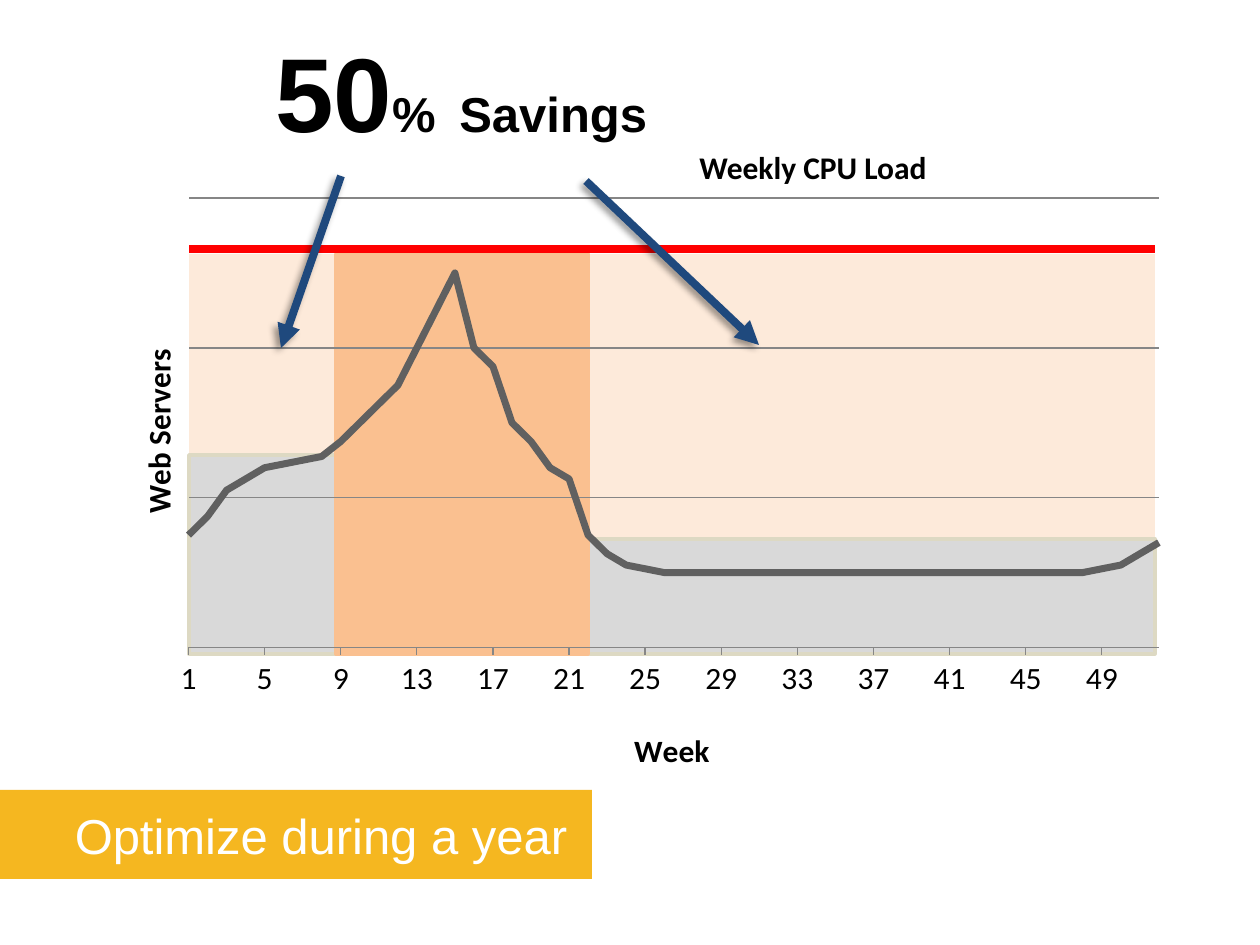
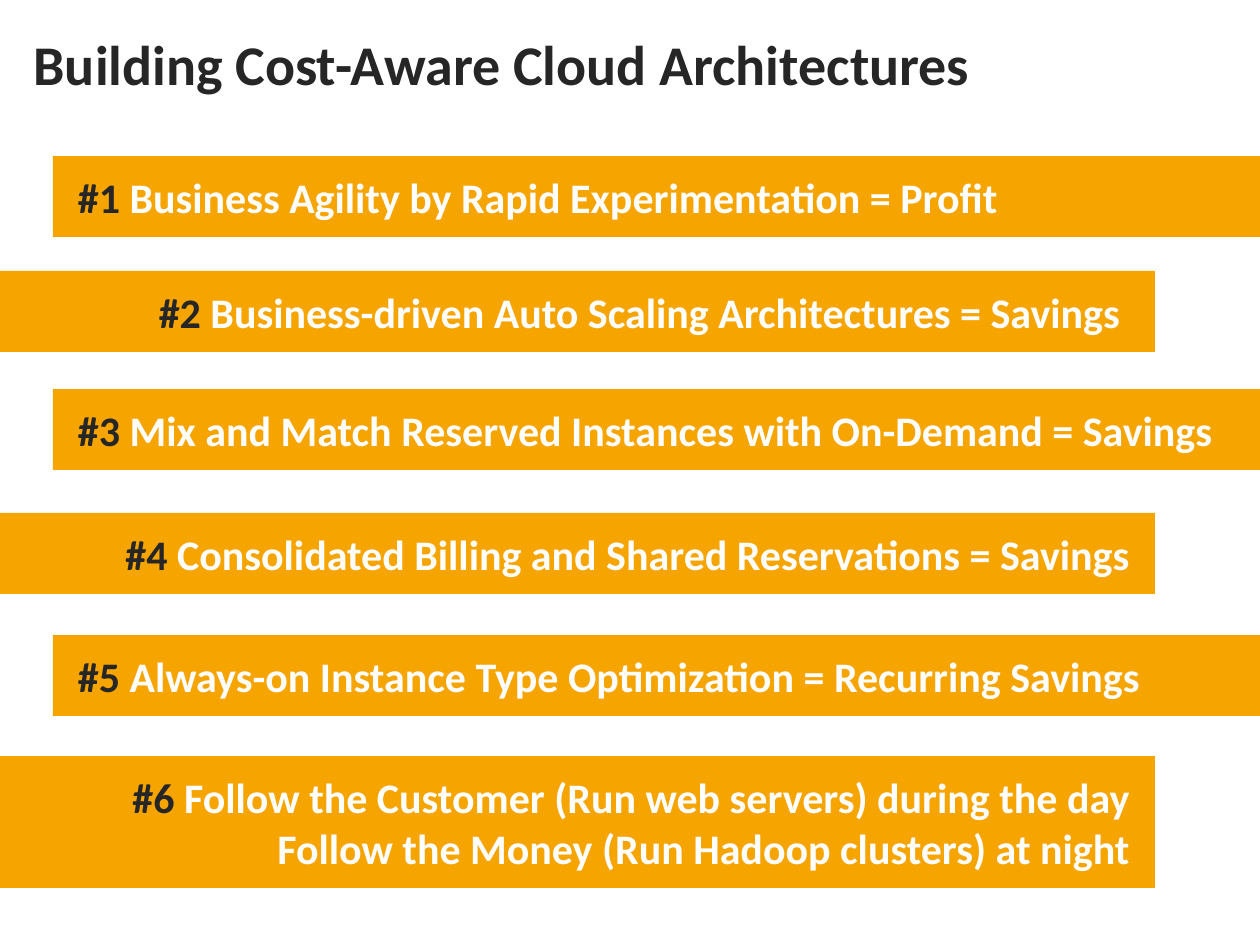
from lxml import etree
from pptx import Presentation
from pptx.chart.data import XyChartData
from pptx.dml.color import RGBColor
from pptx.enum import chart as charts, shapes, text
from pptx.oxml import parse_xml
from pptx.oxml.ns import nsdecls, qn
from pptx.util import Emu, Pt

PX = 914400 / 126
BLACK = RGBColor(0x00, 0x00, 0x00)
WHITE = RGBColor(0xFF, 0xFF, 0xFF)
INK = RGBColor(0x26, 0x26, 0x26)
AMBER = RGBColor(0xF6, 0xA4, 0x00)
BANNER_GOLD = RGBColor(0xF5, 0xB7, 0x20)
PALE_ORANGE = RGBColor(0xFD, 0xEA, 0xDA)
PEAK_ORANGE = RGBColor(0xFA, 0xC0, 0x90)
USED_GRAY = RGBColor(0xD9, 0xD9, 0xD9)
USED_EDGE = RGBColor(0xDD, 0xD9, 0xC3)
LIMIT_RED = RGBColor(0xFF, 0x00, 0x00)
ARROW_NAVY = RGBColor(0x1F, 0x49, 0x7D)
LOAD_GRAY = RGBColor(0x60, 0x60, 0x60)
GRID_GRAY = RGBColor(0x86, 0x86, 0x86)

WEEKLY_LOAD = [30, 35, 42, 45, 48, 49, 50, 51, 55, 60, 65, 70, 80, 90, 100, 80, 75,
               60, 55, 48, 45, 30, 25, 22, 21] + [20] * 23 + [21, 22, 25, 28]

LESSONS = [  # top, height, lines
    (156, 81, ["Business Agility by Rapid Experimentation = Profit"]),
    (271, 81, ["Business-driven Auto Scaling Architectures = Savings "]),
    (389, 81, ["Mix and Match Reserved Instances with On-Demand = Savings"]),
    (513, 81, ["Consolidated Billing and Shared Reservations = Savings"]),
    (635, 81, ["Always-on Instance Type Optimization = Recurring Savings"]),
    (756, 132, ["Follow the Customer (Run web servers) during the day",
                "Follow the Money (Run Hadoop clusters) at night"]),
]


def px(length):
    return Emu(round(length * PX))


def box_px(*lengths):
    return [px(length) for length in lengths]


def style(font, size, color, name="Calibri", bold=False):
    font.name, font.size, font.bold = name, Pt(size), bold
    font.color.rgb = color


def add_rect(slide, box, fill, edge=None):
    rect = slide.shapes.add_shape(shapes.MSO_SHAPE.RECTANGLE, *box_px(*box))
    rect.shadow.inherit = False
    rect.fill.solid()
    rect.fill.fore_color.rgb = fill
    if edge is None:
        rect.line.fill.background()
    else:
        rect.line.color.rgb = edge
        rect.line.width = Pt(2)
    return rect


def add_band(slide, box, fill, align):
    """Coloured band with padded text; returns its first paragraph."""
    frame = add_rect(slide, box, fill).text_frame
    frame.margin_left = frame.margin_right = px(25)
    frame.margin_top = frame.margin_bottom = px(15)
    frame.word_wrap = True
    frame.auto_size = text.MSO_AUTO_SIZE.SHAPE_TO_FIT_TEXT
    frame.paragraphs[0].alignment = align
    return frame.paragraphs[0]


def add_label(slide, box, wrap):
    frame = slide.shapes.add_textbox(*box_px(*box)).text_frame
    frame.word_wrap = wrap
    frame.auto_size = text.MSO_AUTO_SIZE.SHAPE_TO_FIT_TEXT
    return frame.paragraphs[0]


def add_line(slide, start, end, color, effect=""):
    line = slide.shapes.add_connector(shapes.MSO_CONNECTOR.STRAIGHT,
                                      *box_px(*start, *end))
    line.line.color.rgb = color
    line.line.width = Pt(4.5)
    line._element.spPr.append(
        parse_xml(f"<a:effectLst {nsdecls('a')}>{effect}</a:effectLst>"))
    return line


def add_arrow(slide, start, end):
    shadow = ('<a:outerShdw blurRad="50800" dist="38100" dir="8100000">'
              '<a:srgbClr val="000000"><a:alpha val="40000"/></a:srgbClr></a:outerShdw>')
    arrow = add_line(slide, start, end, ARROW_NAVY, shadow)
    head = etree.SubElement(arrow.line._get_or_add_ln(), qn("a:tailEnd"))
    head.set("type", "triangle")


def set_layout(parent, index, inner=False, **fractions):
    """Place a chart part by fractions of the chart's size."""
    for old in parent.findall(qn("c:layout")):
        parent.remove(old)
    layout = etree.Element(qn("c:layout"))
    manual = etree.SubElement(layout, qn("c:manualLayout"))
    settings = [("layoutTarget", "inner")] if inner else []
    settings += [("xMode", "edge"), ("yMode", "edge"), *fractions.items()]
    for tag, value in settings:
        etree.SubElement(manual, qn(f"c:{tag}")).set("val", str(value))
    parent.insert(index, layout)


def no_fill():
    return parse_xml(f"<c:spPr {nsdecls('c', 'a')}><a:noFill/><a:ln><a:noFill/></a:ln></c:spPr>")


def title_axis(axis, caption, x, y):
    frame = axis.axis_title.text_frame
    frame.text = caption
    style(frame.paragraphs[0].runs[0].font, 18, BLACK, bold=True)
    set_layout(axis.axis_title._element, 1, x=x, y=y)


def add_load_chart(slide, box):
    data = XyChartData()
    load = data.add_series("Series 1")
    for week, servers in enumerate(WEEKLY_LOAD, 1):
        load.add_data_point(week, servers)
    chart = slide.shapes.add_chart(charts.XL_CHART_TYPE.XY_SCATTER_SMOOTH_NO_MARKERS,
                                   *box_px(*box), data).chart
    chart.has_title = chart.has_legend = False
    style(chart.font, 18, WHITE)

    curve = chart.plots[0].series[0]
    chart.plots[0].vary_by_categories = False
    curve.smooth = True
    curve.marker.style = charts.XL_MARKER_STYLE.NONE
    curve.format.line.color.rgb = LOAD_GRAY
    curve.format.line.width = Pt(4)

    # Axes
    weeks, servers = chart.category_axis, chart.value_axis
    weeks.minimum_scale, weeks.maximum_scale, weeks.major_unit = 1, 52, 4
    servers.minimum_scale, servers.maximum_scale, servers.major_unit = 0, 120, 40
    weeks.has_major_gridlines = False
    servers.has_major_gridlines = True
    for line in (weeks.format.line, servers.major_gridlines.format.line):
        line.color.rgb = GRID_GRAY
        line.width = Pt(0.75)
    weeks.major_tick_mark = charts.XL_TICK_MARK.OUTSIDE
    style(weeks.tick_labels.font, 18, BLACK)
    servers.major_tick_mark = charts.XL_TICK_MARK.NONE
    servers.tick_label_position = charts.XL_TICK_LABEL_POSITION.NONE
    servers.format.line.fill.background()
    title_axis(weeks, "Week", 0.5, 0.93)
    title_axis(servers, "Web Servers", 0.06, 0.35)
    servers.axis_title.text_frame._txBody.bodyPr.set("rot", "-5400000")

    # The zones behind show through
    space = chart._chartSpace
    space.find(qn("c:chart")).addnext(no_fill())
    plot_area = space.find(f"{qn('c:chart')}/{qn('c:plotArea')}")
    plot_area.append(no_fill())
    set_layout(plot_area, 0, inner=True, x=0.111, y=0.123, w=0.858, h=0.69)


def add_zones(slide, left, top, width, height):
    """Unused, used and peak capacity, all standing on one baseline."""
    before, peak = 147, 252
    after = before + peak
    for x, y, w, fill, edge in [
            (0, 0, width, PALE_ORANGE, None),
            (0, 201, before, USED_GRAY, USED_EDGE),
            (after, 285, width - after, USED_GRAY, USED_EDGE),
            (before, 0, peak, PEAK_ORANGE, PEAK_ORANGE)]:
        add_rect(slide, (left + x, top + y, w, height - y), fill, edge)


def build_savings_slide(prs):
    slide = prs.slides.add_slide(prs.slide_layouts[6])
    add_zones(slide, 189, 254, 966, 400)
    add_load_chart(slide, (63, 118, 1131, 662))
    add_line(slide, (189, 249), (1155, 249), LIMIT_RED)

    # Banner
    banner = add_band(slide, (0, 790, 592, 89), BANNER_GOLD, text.PP_ALIGN.RIGHT)
    banner.text = "Optimize during a year"
    style(banner.runs[0].font, 28, WHITE, "Arial")

    # Headline figure, with a tab stop before its last word
    savings = add_label(slide, (263, 21, 456, 140), True)
    stops = etree.SubElement(savings._p.get_or_add_pPr(), qn("a:tabLst"))
    stop = etree.SubElement(stops, qn("a:tab"))
    stop.set("pos", str(px(184)))
    stop.set("algn", "l")
    for words, size in [("50", 60), ("%\tSavings", 28)]:
        run = savings.add_run()
        run.text = words
        style(run.font, size, BLACK, "Arial", True)

    add_arrow(slide, (341, 176), (281, 348))
    add_arrow(slide, (586, 181), (759, 345))

    caption = add_label(slide, (687, 142, 295, 50), False)
    caption.text = "Weekly CPU Load"
    style(caption.runs[0].font, 18, BLACK, bold=True)


def add_lesson(slide, number, top, height, lines):
    """Odd bands run off the right edge, even ones off the left."""
    if number % 2:
        box, align = (53, top, 1207, height), text.PP_ALIGN.LEFT
    else:
        box, align = (0, top, 1155, height), text.PP_ALIGN.RIGHT
    lesson = add_band(slide, box, AMBER, align)
    label = lesson.add_run()
    label.text = f"#{number} "
    style(label.font, 24, INK, bold=True)
    for index, words in enumerate(lines):
        if index:
            lesson.add_line_break()
        run = lesson.add_run()
        run.text = words
        style(run.font, 24, WHITE, bold=True)


def build_lessons_slide(prs):
    slide = prs.slides.add_slide(prs.slide_layouts[5])
    title = slide.shapes.title
    title.left, title.top, title.width, title.height = box_px(21, 23, 1134, 158)
    frame = title.text_frame
    frame.text = "Building Cost-Aware Cloud Architectures"
    frame.vertical_anchor = text.MSO_ANCHOR.TOP
    frame.auto_size = text.MSO_AUTO_SIZE.NONE
    frame.paragraphs[0].alignment = text.PP_ALIGN.LEFT
    style(frame.paragraphs[0].runs[0].font, 32, INK, bold=True)
    for number, lesson in enumerate(LESSONS, 1):
        add_lesson(slide, number, *lesson)


def main():
    prs = Presentation()
    prs.slide_width, prs.slide_height = box_px(1260, 945)
    build_savings_slide(prs)
    build_lessons_slide(prs)
    prs.save("out.pptx")


if __name__ == "__main__":
    main()
